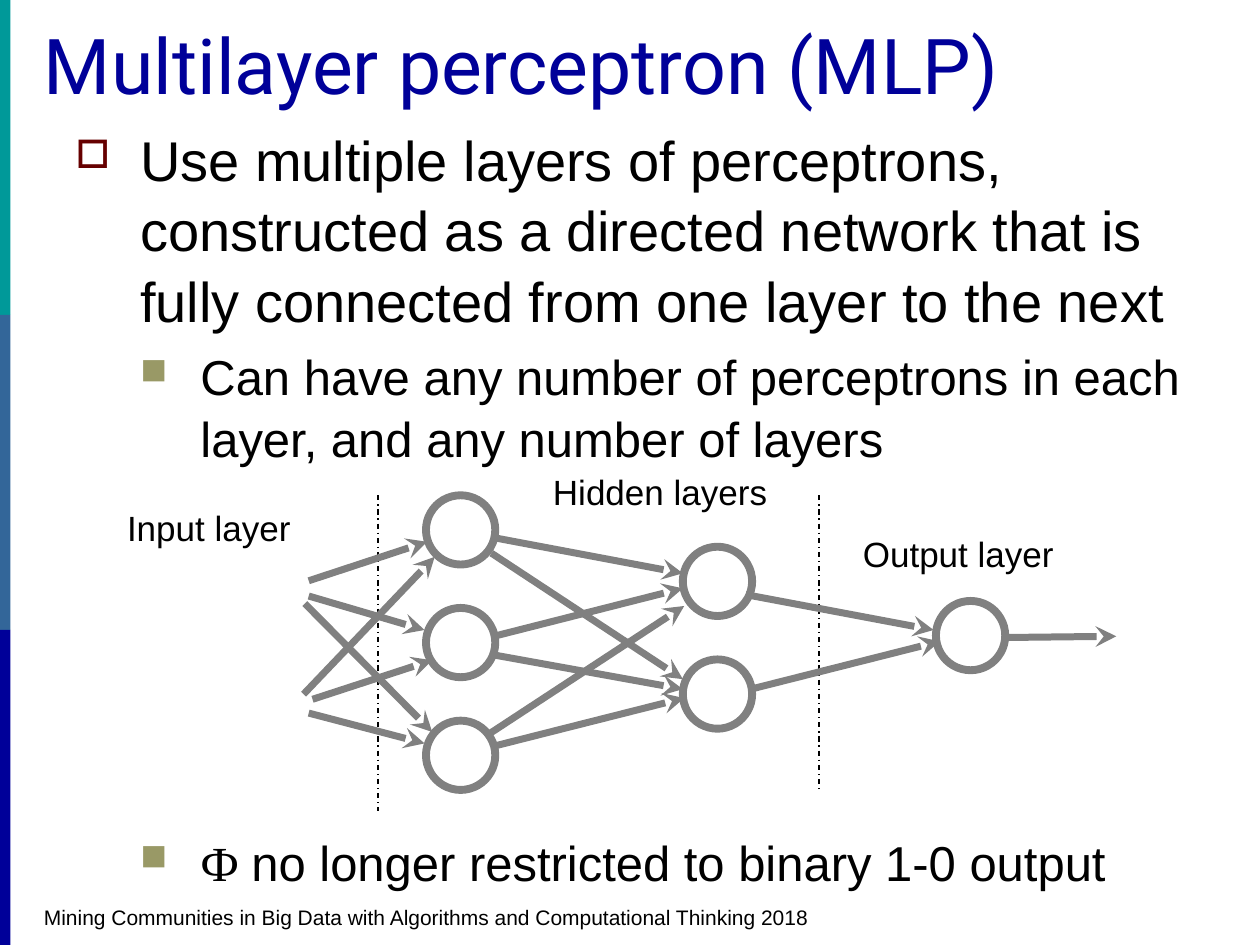
import lxml.etree
import pptx
import pptx.dml.color
import pptx.enum.dml
import pptx.enum.shapes
import pptx.enum.text
import pptx.oxml.ns
import pptx.util

Pt = pptx.util.Pt
qn = pptx.oxml.ns.qn
SHAPE = pptx.enum.shapes.MSO_SHAPE
ANCHOR = pptx.enum.text.MSO_ANCHOR

COLORS = {
    "teal": "009999",
    "steel": "336699",
    "navy": "000099",
    "black": "000000",
    "white": "FFFFFF",
    "gray": "808080",
    "maroon": "660000",
    "olive": "999966",
}


def rgb(name):
    return pptx.dml.color.RGBColor.from_string(COLORS[name])


def add_run(p, text, size=20, font="Arial", color="black"):
    r = p.add_run()
    r.text = text
    r.font.size = Pt(size)
    r.font.name = font
    r.font.color.rgb = rgb(color)


class Deck:
    arrow_width = 4
    ring_width = 4.5
    neuron = 39.6

    def __init__(self):
        self.prs = pptx.Presentation()
        self.prs.slide_width, self.prs.slide_height = Pt(720), Pt(540)
        self.s = self.prs.slides.add_slide(self.prs.slide_layouts[6])

    def shape(self, kind, x, y, w, h, fill, line=None):
        sp = self.s.shapes.add_shape(kind, Pt(x), Pt(y), Pt(w), Pt(h))
        sp.shadow.inherit = False
        sp.fill.solid()
        sp.fill.fore_color.rgb = rgb(fill)
        if line:
            sp.line.color.rgb = rgb(line)
            sp.line.width = Pt(self.ring_width)
        else:
            sp.line.fill.background()

    def circle(self, cx, cy):
        d = self.neuron
        self.shape(SHAPE.OVAL, cx - d / 2, cy - d / 2, d, d, "white", "gray")

    def box(self, x, y, w, h, wrap=True, anchor=ANCHOR.TOP):
        sp = self.s.shapes.add_textbox(Pt(x), Pt(y), Pt(w), Pt(h))
        tf = sp.text_frame
        tf.word_wrap = wrap
        tf.vertical_anchor = anchor
        return tf

    def label(self, text, x, y, w, h, spacing=None, wrap=False, anchor=ANCHOR.TOP, **style):
        p = self.box(x, y, w, h, wrap, anchor).paragraphs[0]
        p.line_spacing = spacing
        add_run(p, text, **style)

    def bullet(self, p, char, color, percent, left, hang, before=0):
        pPr = p._p.get_or_add_pPr()
        pPr.set("marL", str(Pt(left)))
        pPr.set("indent", str(-Pt(hang)))
        clr = lxml.etree.SubElement(pPr, qn("a:buClr"))
        lxml.etree.SubElement(clr, qn("a:srgbClr"), val=COLORS[color])
        lxml.etree.SubElement(pPr, qn("a:buSzPct"), val=str(percent * 1000))
        lxml.etree.SubElement(pPr, qn("a:buChar"), char=char)
        p.line_spacing = 1.05
        p.space_before = Pt(before)

    def line(self, x1, y1, x2, y2, color, width):
        c = self.s.shapes.add_connector(
            pptx.enum.shapes.MSO_CONNECTOR.STRAIGHT, Pt(x1), Pt(y1), Pt(x2), Pt(y2))
        c.line.color.rgb = rgb(color)
        c.line.width = Pt(width)
        lxml.etree.SubElement(c._element.spPr, qn("a:effectLst"))
        return c

    def divider(self, x, top, bottom):
        c = self.line(x, top, x, bottom, "black", 0.75)
        c.line.dash_style = pptx.enum.dml.MSO_LINE.DASH_DOT

    def arrow(self, x1, y1, x2, y2):
        c = self.line(x1, y1, x2, y2, "gray", self.arrow_width)
        lxml.etree.SubElement(c.line._get_or_add_ln(), qn("a:tailEnd"), type="stealth")


def main():
    deck = Deck()
    for i, color in enumerate(("teal", "steel", "navy")):
        deck.shape(SHAPE.RECTANGLE, 0, 180 * i, 6, 180, color)

    deck.label("Mining Communities in Big Data with Algorithms and Computational Thinking 2018",
               18, 513.4, 551.5, 21.6, size=12)
    deck.label("Multilayer perceptron (MLP)", 18, 12.2, 684, 54, wrap=True,
               anchor=ANCHOR.BOTTOM, size=44, font="Roboto", color="navy")

    tf = deck.box(36, 66.2, 648, 444.2)
    p = tf.paragraphs[0]
    deck.bullet(p, "□", "maroon", 70, 37, 37)
    add_run(p, "Use multiple layers of perceptrons, constructed as a directed network "
               "that is fully connected from one layer to the next", size=32)
    p = tf.add_paragraph()
    deck.bullet(p, "■", "olive", 75, 71.5, 34.5, before=5.6)
    add_run(p, "Can have any number of perceptrons in each layer, and any number of layers",
            size=28)
    p = tf.add_paragraph()
    deck.bullet(p, "■", "olive", 75, 71.5, 34.5, before=207.4)
    add_run(p, "Ф ", size=28, font="Times New Roman")
    add_run(p, "no longer restricted to binary 1-0 output", size=28)

    deck.label("Input layer", 65.5, 285.8, 108.7, 31.7)
    deck.label("Hidden layers", 308.9, 270, 138.2, 26.6, spacing=0.8)
    deck.label("Output layer", 486, 301, 124.6, 31.7)

    deck.divider(216, 283, 463.7)
    deck.divider(468, 283, 452.2)

    pitch = 64.4
    for cx, top, count in ((263.2, 302.8, 3), (410, 332.2, 2), (554.6, 363.2, 1)):
        for i in range(count):
            deck.circle(cx, top + i * pitch)

    arrows = (
        (283, 307.4, 390.2, 327.6),
        (280.8, 316.1, 390.2, 388.1),
        (283, 426.2, 391, 398.9),
        (280.1, 419, 391, 346.3),
        (283, 374.4, 390.2, 393.8),
        (282.2, 363.6, 390.2, 336.2),
        (426.2, 339.8, 533.5, 360),
        (429.1, 393.8, 537.1, 366.5),
        (575.3, 364.3, 637.9, 363.6),
        (176.4, 331.9, 244.1, 309.6),
        (178.6, 399.6, 247, 377.3),
        (176.4, 407.5, 242.6, 424.8),
        (176.4, 340.6, 242.6, 360),
        (173.5, 396.7, 248.4, 318.2),
        (174.2, 344.9, 247, 418.3),
    )
    for ends in arrows:
        deck.arrow(*ends)

    deck.prs.save("out.pptx")


if __name__ == "__main__":
    main()
